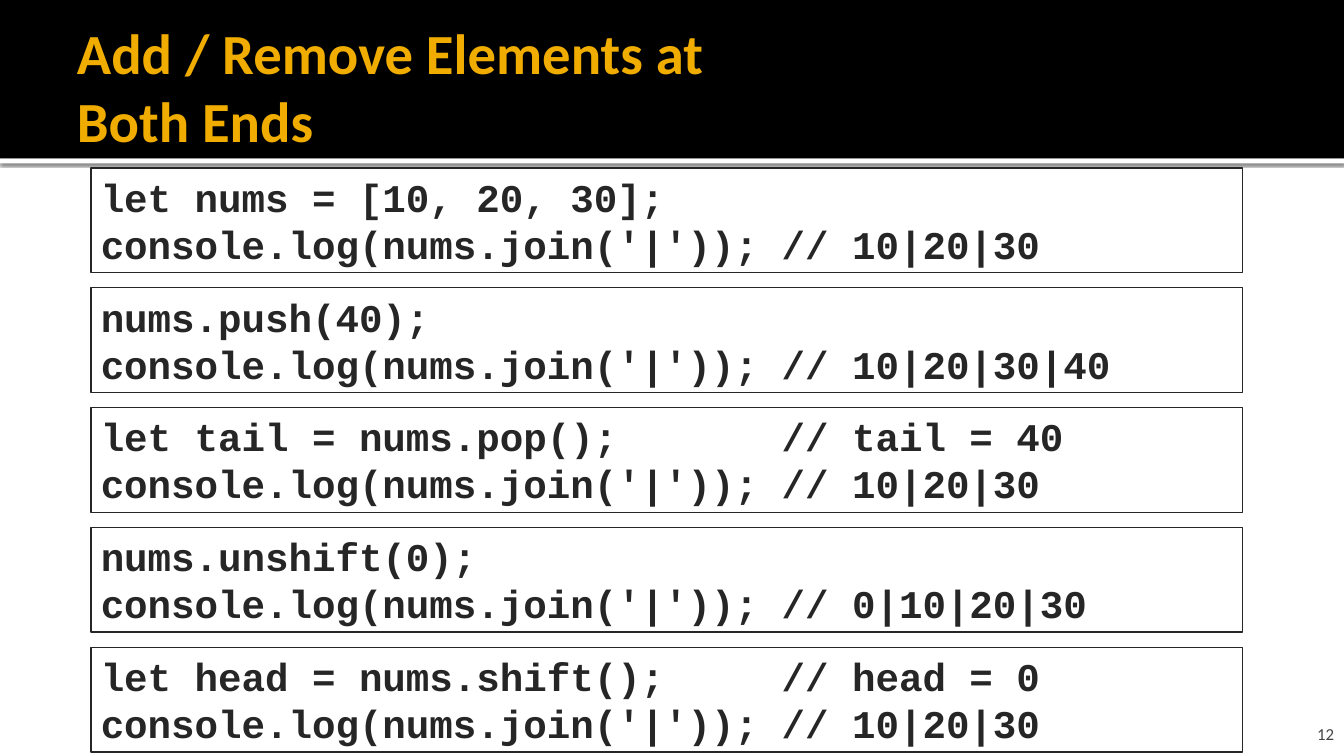
from dataclasses import dataclass

from lxml import etree
from pptx import Presentation
from pptx.dml.color import RGBColor
from pptx.enum.shapes import MSO_SHAPE
from pptx.enum.text import MSO_ANCHOR, MSO_AUTO_SIZE, PP_ALIGN
from pptx.oxml.ns import qn
from pptx.util import Cm, Pt

RECTANGLE = MSO_SHAPE.RECTANGLE
MIDDLE, BOTTOM, TOP = MSO_ANCHOR.MIDDLE, MSO_ANCHOR.BOTTOM, MSO_ANCHOR.TOP
LEFT, RIGHT = PP_ALIGN.LEFT, PP_ALIGN.RIGHT
FIT_TEXT, NO_FIT = MSO_AUTO_SIZE.SHAPE_TO_FIT_TEXT, MSO_AUTO_SIZE.NONE


@dataclass(frozen=True)
class Theme:
    band: RGBColor = RGBColor(0x00, 0x00, 0x00)
    rule: RGBColor = RGBColor(0xFF, 0xFF, 0xFF)
    title: RGBColor = RGBColor(0xF0, 0xAD, 0x00)
    code: RGBColor = RGBColor(0x26, 0x26, 0x26)
    number: RGBColor = RGBColor(0x45, 0x45, 0x45)
    text_font: str = "Calibri"
    code_font: str = "Courier New"
    title_size: float = 40.5
    code_size: float = 28
    number_size: float = 12


THEME = Theme()
COMMENT_COLUMN = 29
JOIN = "console.log(nums.join('|'));"
TITLE_LINES = ["Add / Remove Elements at ", "Both Ends"]
# Each box holds code lines of (statement, comment)
EXAMPLES = [
    [("let nums = [10, 20, 30];", ""), (JOIN, "// 10|20|30")],
    [("nums.push(40);", ""), (JOIN, "// 10|20|30|40")],
    [("let tail = nums.pop();", "// tail = 40"), (JOIN, "// 10|20|30")],
    [("nums.unshift(0);", ""), (JOIN, "// 0|10|20|30")],
    [("let head = nums.shift();", "// head = 0"), (JOIN, "// 10|20|30")],
]


def add_text(paragraph, text, font, size, color, bold=False):
    run = paragraph.add_run()
    run.text = text
    run.font.name = font
    run.font.size = Pt(size)
    run.font.bold = bold
    run.font.color.rgb = color


def set_frame(frame, anchor, margins, fit=NO_FIT):
    frame.word_wrap = True
    frame.auto_size = fit
    frame.vertical_anchor = anchor
    (frame.margin_left, frame.margin_top,
     frame.margin_right, frame.margin_bottom) = [Cm(m) for m in margins]


def add_bar(slide, left, top, width, height, color):
    bar = slide.shapes.add_shape(RECTANGLE, Cm(left), Cm(top), Cm(width), Cm(height))
    bar.shadow.inherit = False
    bar.fill.solid()
    bar.fill.fore_color.rgb = color
    bar.line.fill.background()
    # Bars lie behind the title
    slide.shapes.title._element.addprevious(bar._element)
    return bar


def add_soft_shadow(shape):
    effects = shape._element.spPr.find(qn("a:effectLst"))
    shadow = etree.SubElement(effects, qn("a:outerShdw"), blurRad=str(Pt(2.5)),
                              dist=str(Pt(0.8)), dir="5400000", rotWithShape="0")
    color = etree.SubElement(shadow, qn("a:srgbClr"), val="000000")
    etree.SubElement(color, qn("a:alpha"), val="60000")


def build_header(slide, left, top, width, height):
    # White rule below the black band
    rule = add_bar(slide, left, top + height, width, 0.13, THEME.rule)
    add_soft_shadow(rule)
    add_bar(slide, left, top, width, height, THEME.band)

    # Title
    title = slide.shapes.title
    title.left, title.top = Cm(left + 1.69), Cm(top + 0.43)
    title.width, title.height = Cm(width - 3.39), Cm(height - 0.51)
    set_frame(title.text_frame, MIDDLE, (0.25, 0.13, 0.13, 0.13))
    heading = title.text_frame.paragraphs[0]
    heading.alignment = LEFT
    heading.line_spacing = 1.0
    for index, line in enumerate(TITLE_LINES):
        if index:
            heading.add_line_break()
        add_text(heading, line, THEME.text_font, THEME.title_size, THEME.title, True)


def build_code_box(slide, lines, left, top, width, height):
    box = slide.shapes.add_shape(RECTANGLE, Cm(left), Cm(top), Cm(width), Cm(height))
    box.shadow.inherit = False
    box.fill.background()
    box.line.color.rgb = THEME.code
    box.line.width = Pt(1)
    frame = box.text_frame
    set_frame(frame, TOP, (0.25, 0.13, 0.25, 0.13), FIT_TEXT)
    for index, (statement, comment) in enumerate(lines):
        row = frame.add_paragraph() if index else frame.paragraphs[0]
        row.alignment = LEFT
        row.line_spacing = 1.0
        code = statement.ljust(COMMENT_COLUMN) + comment if comment else statement
        add_text(row, code, THEME.code_font, THEME.code_size, THEME.code, True)


def build_examples(slide, left, top, width, height, gap):
    for index, lines in enumerate(EXAMPLES):
        build_code_box(slide, lines, left, top + index * (height + gap), width, height)


def build_page_number(slide, left, top, width, height):
    number = slide.shapes.add_textbox(Cm(left), Cm(top), Cm(width), Cm(height))
    set_frame(number.text_frame, BOTTOM, (0.25, 0.13, 0.25, 0))
    line = number.text_frame.paragraphs[0]
    line.alignment = RIGHT
    add_text(line, "12", THEME.text_font, THEME.number_size, THEME.number)


def main():
    deck = Presentation()
    deck.slide_width, deck.slide_height = Cm(33.87), Cm(19.05)
    title_only = deck.slide_layouts[5]
    slide = deck.slides.add_slide(title_only)
    build_header(slide, 0, 0, 33.87, 3.99)
    build_examples(slide, 2.29, 4.23, 29.03, 2.64, 0.38)
    build_page_number(slide, 31.14, 17.98, 2.73, 0.76)
    deck.save("out.pptx")


if __name__ == "__main__":
    main()
